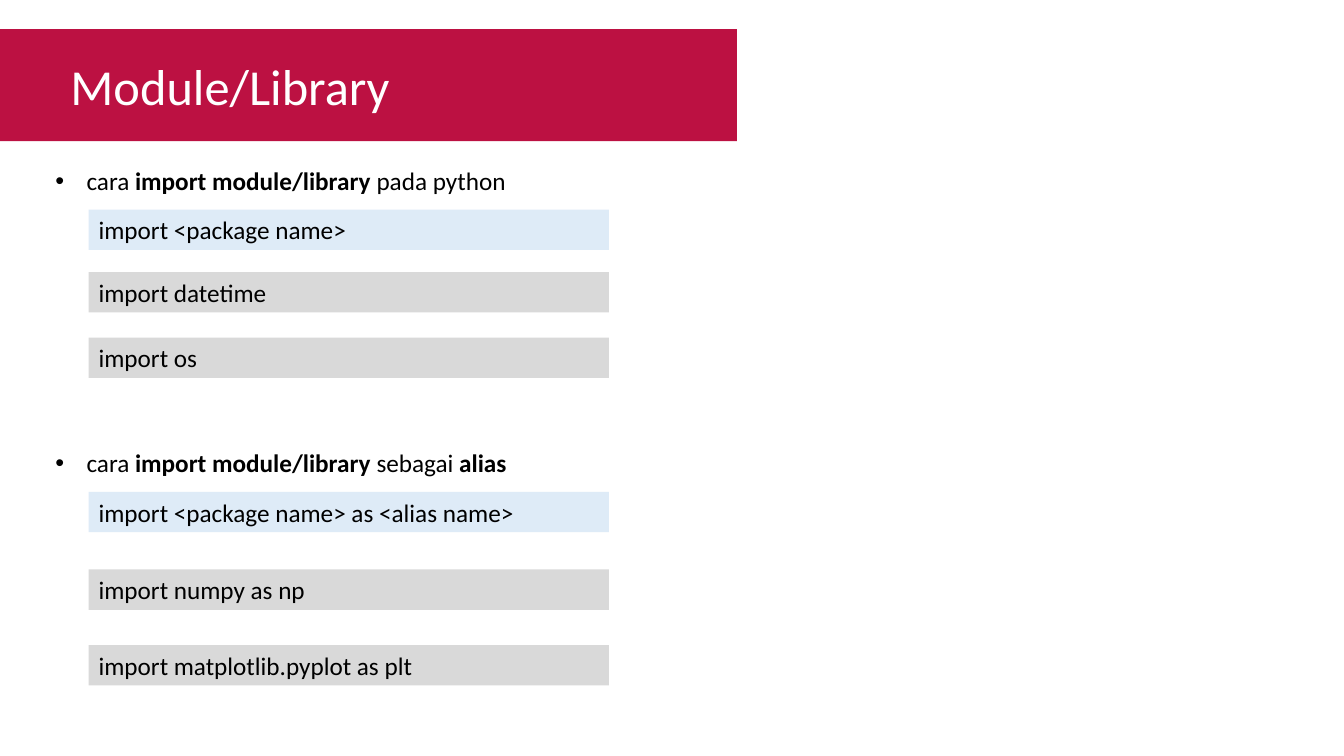
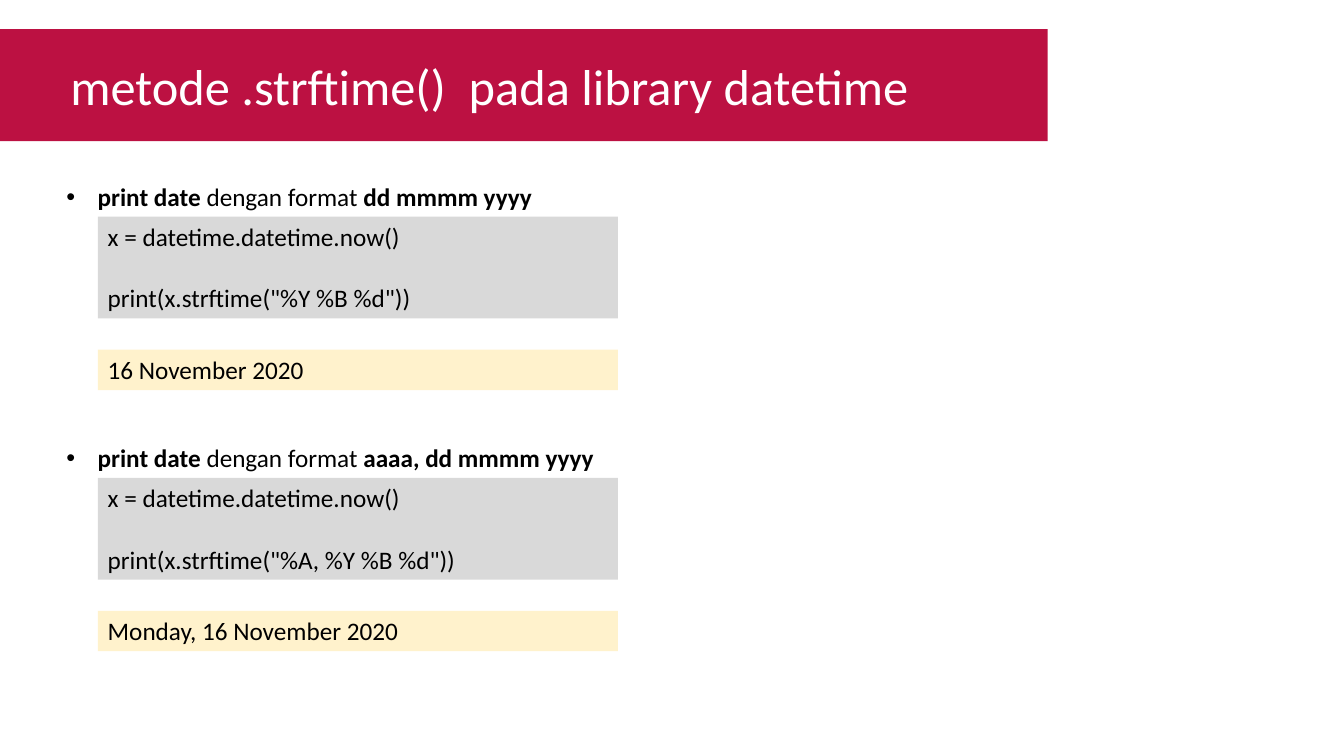
from lxml.etree import SubElement
from pptx import Presentation
from pptx.dml.color import RGBColor
from pptx.enum.shapes import MSO_SHAPE as Shape
from pptx.enum.text import MSO_ANCHOR as Anchor
from pptx.oxml.ns import qn
from pptx.util import Inches, Pt

RED = RGBColor(0xBC, 0x11, 0x42)
BLUE = RGBColor(0xDE, 0xEB, 0xF7)
GRAY = RGBColor(0xD9, 0xD9, 0xD9)
CREAM = RGBColor(0xFF, 0xF2, 0xCC)
WHITE = RGBColor(0xFF, 0xFF, 0xFF)
BLACK = RGBColor(0, 0, 0)
FACE = "Calibri"
BODY = 18
LINE = 22


def style(para, size=BODY, color=BLACK):
    para.font.name = FACE
    para.font.size = Pt(size)
    para.font.color.rgb = color


def add_rect(slide, left, top, width, height, fill):
    rect = slide.shapes.add_shape(
        Shape.RECTANGLE, Inches(left), Inches(top), Inches(width), Inches(height))
    rect.shadow.inherit = False
    rect.fill.solid()
    rect.fill.fore_color.rgb = fill
    rect.line.fill.background()
    return rect


def add_text(slide, left, top, width, height):
    box = slide.shapes.add_textbox(
        Inches(left), Inches(top), Inches(width), Inches(height))
    box.text_frame.word_wrap = True
    return box.text_frame.paragraphs[0]


def add_title(prs, text, width):
    slide = prs.slides.add_slide(prs.slide_layouts[6])
    add_rect(slide, 0, 0.29, width, 1.11, RED)
    para = add_text(slide, 0.6, 0.5, width - 0.6, 0.71)
    para.text = text
    style(para, 36, WHITE)
    return slide


def add_bullet(slide, left, top, parts):
    para = add_text(slide, left, top, 10.79, 0.4)
    props = para._p.get_or_add_pPr()
    props.set("marL", str(Inches(0.31)))
    props.set("indent", str(-Inches(0.31)))
    SubElement(props, qn("a:buFont"), typeface="Arial")
    SubElement(props, qn("a:buChar"), char="•")
    for text, bold in parts:
        run = para.add_run()
        run.text = text
        run.font.bold = bold
    style(para)


def add_code(slide, left, top, fill, *lines):
    height = 0.4 if len(lines) == 1 else 1.01
    frame = add_rect(slide, left, top, 5.16, height, fill).text_frame
    frame.word_wrap = True
    frame.vertical_anchor = Anchor.TOP
    for index, line in enumerate(lines):
        para = frame.add_paragraph() if index else frame.paragraphs[0]
        para.text = line
        para.alignment = 1
        if index:
            para.space_before = Pt(LINE)
        style(para)


def add_import(slide, top, ending, syntax, samples):
    parts = [("cara ", False), ("import module/library", True), *ending]
    add_bullet(slide, 0.45, top, parts)
    add_code(slide, 0.88, top + 0.49, BLUE, syntax)
    for place, code in samples:
        add_code(slide, 0.88, place, GRAY, code)


def add_date(slide, top, form, code, result):
    parts = [("print date", True), (" dengan format ", False), (form, True)]
    add_bullet(slide, 0.56, top, parts)
    add_code(slide, 0.97, top + 0.4, GRAY,
             "x = datetime.datetime.now()", f'print(x.strftime("{code}"))')
    add_code(slide, 0.97, top + 1.72, CREAM, result)


def main():
    prs = Presentation()
    prs.slide_width = Inches(13.33)
    prs.slide_height = Inches(7.5)

    slide = add_title(prs, "Module/Library", 7.31)
    add_import(slide, 1.59, [(" pada python", False)], "import <package name>",
               [(2.7, "import datetime"), (3.35, "import os")])
    add_import(slide, 4.39, [(" sebagai ", False), ("alias", True)],
               "import <package name> as <alias name>",
               [(5.65, "import numpy as np"),
                (6.4, "import matplotlib.pyplot as plt")])

    slide = add_title(prs, "metode .strftime()  pada library datetime", 10.39)
    add_date(slide, 1.75, "dd mmmm yyyy", "%Y %B %d", "16 November 2020")
    add_date(slide, 4.34, "aaaa, dd mmmm yyyy", "%A, %Y %B %d",
             "Monday, 16 November 2020")

    prs.save("out.pptx")


if __name__ == "__main__":
    main()
